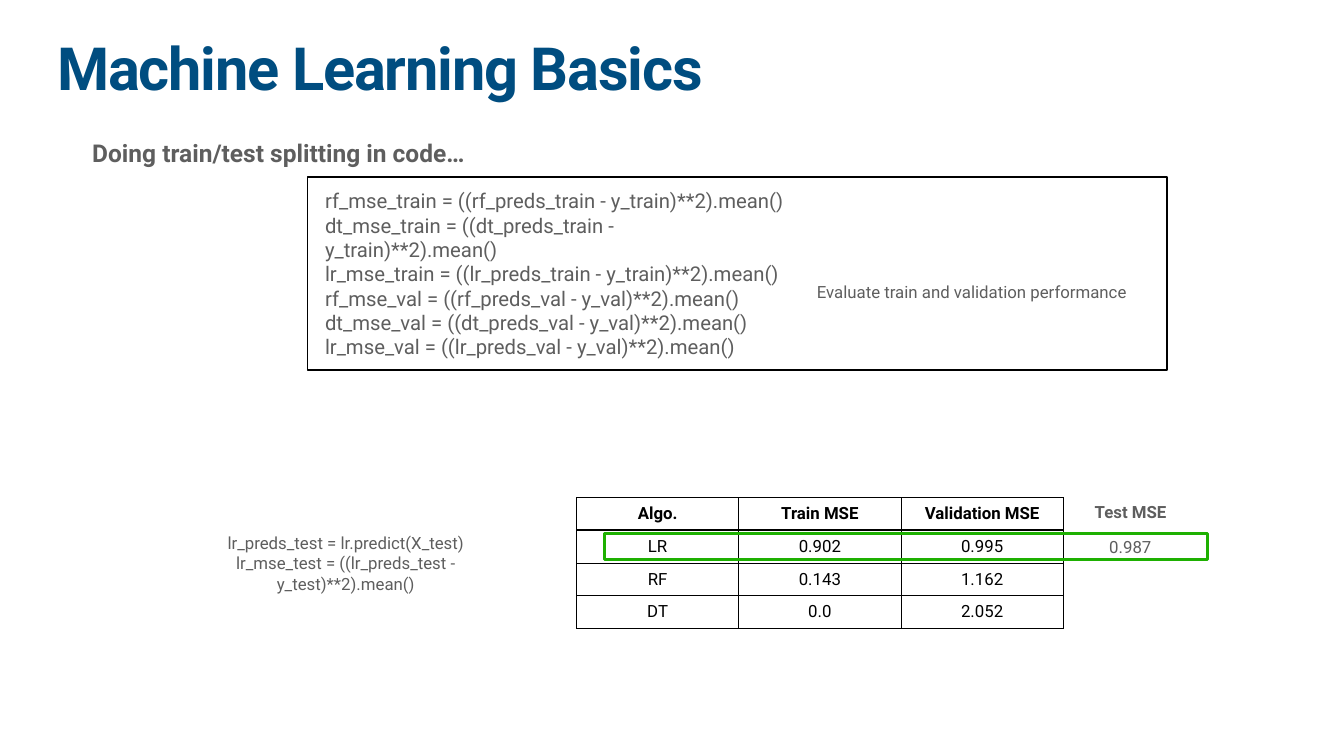
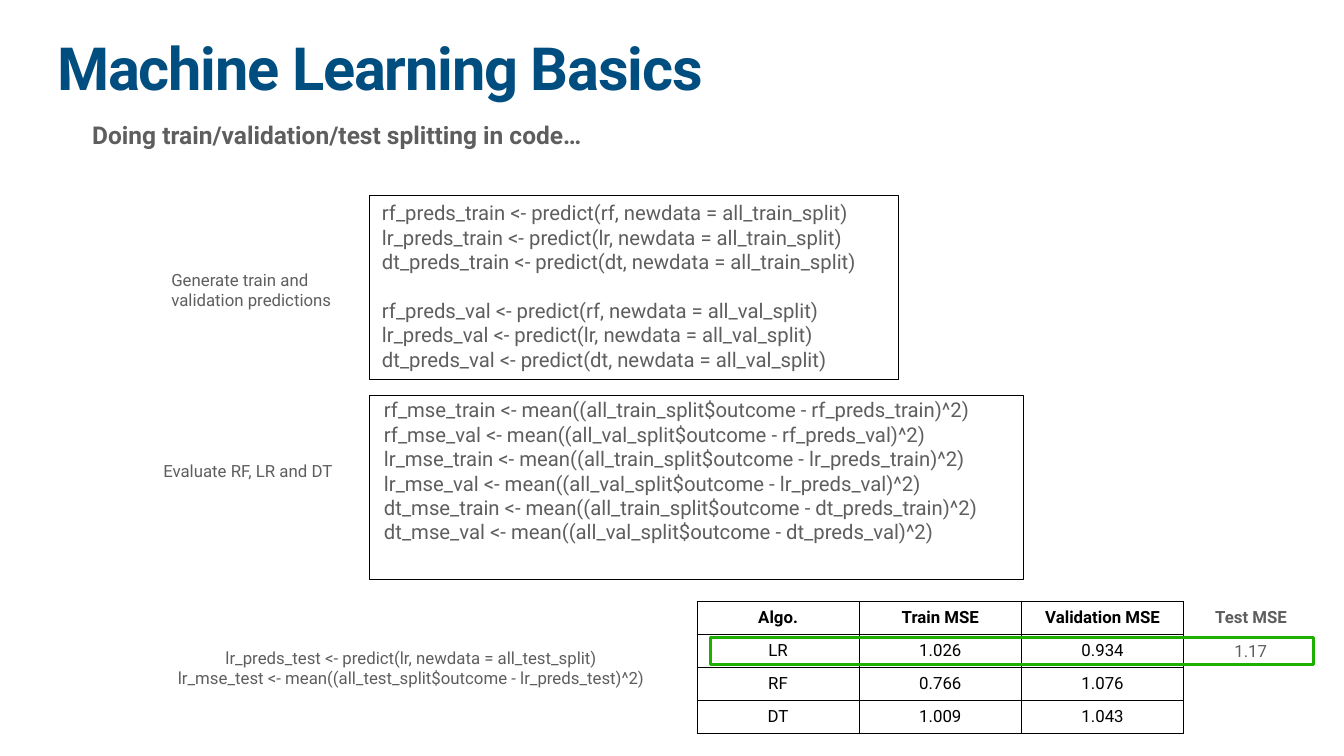
"""Build two slides on train, validation and test splits in code."""
import dataclasses

import lxml.etree
import pptx
import pptx.dml.color
import pptx.enum.shapes
import pptx.enum.text
import pptx.oxml.ns
import pptx.util

Inches = pptx.util.Inches
Pt = pptx.util.Pt
Align = pptx.enum.text.PP_ALIGN
Anchor = pptx.enum.text.MSO_ANCHOR
Fit = pptx.enum.text.MSO_AUTO_SIZE
qn = pptx.oxml.ns.qn


@dataclasses.dataclass(frozen=True)
class Theme:
    font: str = "Roboto"
    blue: str = "004D80"
    gray: str = "5E5E5E"
    black: str = "000000"
    green: str = "1EB001"
    title: int = 85
    head: int = 35
    code: int = 29
    note: int = 24
    inset: float = 0.06
    col: float = 3.22
    row: float = 0.65


def rgb(color):
    return pptx.dml.color.RGBColor.from_string(color)


class Deck:
    def __init__(self, theme):
        self.theme = theme
        self.file = pptx.Presentation()
        self.file.slide_width = Inches(26.67)
        self.file.slide_height = Inches(15)
        self.slide = None

    def style(self, frame, size, color, bold=False, align=Align.LEFT):
        for para in frame.paragraphs:
            para.alignment = align
            for run in para.runs:
                run.font.name = self.theme.font
                run.font.size = Pt(size)
                run.font.bold = bold
                run.font.color.rgb = rgb(color)

    def pad(self, thing):
        for side in ("left", "top", "right", "bottom"):
            setattr(thing, "margin_" + side, Inches(self.theme.inset))
        thing.vertical_anchor = Anchor.MIDDLE

    def text(self, words, at, size, color=None, wrap=True, **look):
        frame = self.slide.shapes.add_textbox(*map(Inches, at)).text_frame
        frame.word_wrap = wrap
        frame.auto_size = Fit.SHAPE_TO_FIT_TEXT
        self.pad(frame)
        frame.text = words
        self.style(frame, size, color or self.theme.gray, **look)
        return frame

    def page(self, head, top):
        theme = self.theme
        self.slide = self.file.slides.add_slide(self.file.slide_layouts[6])
        frame = self.text("Machine Learning Basics", (1.08, 0.83, 24.03, 1.57),
                          theme.title, theme.blue, bold=True)
        frame.auto_size = Fit.NONE
        frame.vertical_anchor = Anchor.TOP
        para = frame.paragraphs[0]
        para.line_spacing = 0.8
        para.runs[0].font._element.set("spc", "-170")
        self.text(head, (1.77, top, 22.64, 0.69), theme.head, bold=True)

    def note(self, words, at, **look):
        self.text(words, at, self.theme.note, **look)

    def label(self, words, at, bold=False):
        self.note(words, at, wrap=False, bold=bold, align=Align.CENTER)

    def frame(self, at, color, width):
        kind = pptx.enum.shapes.MSO_SHAPE.RECTANGLE
        box = self.slide.shapes.add_shape(kind, *map(Inches, at))
        box.shadow.inherit = False
        box.fill.background()
        box.line.color.rgb = rgb(color)
        box.line.width = Pt(width)

    def code(self, blocks, at, box):
        frame = self.text("\n".join(blocks), at, self.theme.code, wrap=False)
        self.frame(box, self.theme.black, 2)
        return frame

    def edge(self, cell, side, width):
        props = cell._tc.get_or_add_tcPr()
        line = lxml.etree.SubElement(props, qn("a:ln" + side), w=str(Pt(width)))
        fill = lxml.etree.SubElement(line, qn("a:solidFill"))
        lxml.etree.SubElement(fill, qn("a:srgbClr"), val=self.theme.black)

    def table(self, rows, left, top):
        theme = self.theme
        size = (theme.col * len(rows[0]), theme.row * len(rows))
        grid = self.slide.shapes.add_table(
            len(rows), len(rows[0]), *map(Inches, (left, top, *size))).table
        grid.first_row = grid.horz_banding = False
        for col in grid.columns:
            col.width = Inches(theme.col)
        for y, row in enumerate(rows):
            grid.rows[y].height = Inches(theme.row)
            for x, words in enumerate(row):
                cell = grid.cell(y, x)
                self.pad(cell)
                cell.text_frame.text = words
                self.style(cell.text_frame, theme.note, theme.black,
                           bold=y == 0, align=Align.CENTER)
                for side in "LRTB":
                    thick = (y, side) in ((0, "B"), (1, "T"))
                    self.edge(cell, side, 3 if thick else 1)
                cell.fill.background()

    def scores(self, rows, left, top, mark, test, width):
        head = ("Algo.", "Train MSE", "Validation MSE")
        self.table((head, *rows), left, top)
        self.frame((mark, top + 0.71, 11.97, 0.53), self.theme.green, 4)
        mid = left + 10.99
        self.label("Test MSE", (mid - 0.8, top + 0.04, 1.61, 0.5), bold=True)
        self.label(test, (mid - width / 2, top + 0.73, width, 0.5))


def main():
    deck = Deck(Theme())

    deck.page("Doing train/test splitting in code…", 2.68)
    deck.code(
        [f"{m}_mse_{s} = (({m}_preds_{s} - y_{s})**2).mean()"
         for s in ("train", "val") for m in ("rf", "dt", "lr")],
        (6.39, 3.92, 9.31, 3.02), (6.1, 3.51, 17.06, 3.83))
    deck.note("Evaluate train and validation performance",
              (16.15, 5.54, 11.08, 0.5))
    deck.scores((("LR", "0.902", "0.995"), ("RF", "0.143", "1.162"),
                 ("DT", "0.0", "2.052")), 11.44, 9.87, 12, "0.987", 0.96)
    deck.label("lr_preds_test = lr.predict(X_test)\n"
               "lr_mse_test = ((lr_preds_test - y_test)**2).mean()",
               (3.26, 10.72, 7.2, 0.91))

    deck.page("Doing train/validation/test splitting in code…", 2.32)
    deck.note("Generate train and validation predictions",
              (3.34, 5.29, 3.97, 0.91))
    frame = deck.code(
        [f"{m}_preds_{s} <- predict({m}, newdata = all_{s}_split)"
         for s in ("train", "val") for m in ("rf", "lr", "dt")],
        (7.52, 3.92, 9.72, 3.5), (7.33, 3.88, 10.5, 3.65))
    frame.paragraphs[3].space_before = Pt(35)
    deck.code(
        [f"{m}_mse_{s} <- mean((all_{s}_split$outcome - {m}_preds_{s})^2)"
         for m in ("rf", "lr", "dt") for s in ("train", "val")],
        (7.56, 7.83, 12.06, 3.02), (7.33, 7.85, 12.98, 3.65))
    deck.note("Evaluate RF, LR and DT", (3.18, 9.09, 7.32, 0.5))
    deck.scores((("LR", "1.026", "0.934"), ("RF", "0.766", "1.076"),
                 ("DT", "1.009", "1.043")), 13.83, 11.94, 14.1, "1.17", 0.77)
    deck.label("lr_preds_test <- predict(lr, newdata = all_test_split)\n"
               "lr_mse_test <- mean((all_test_split$outcome - lr_preds_test)^2)",
               (3.42, 12.79, 9.47, 0.91))

    deck.file.save("out.pptx")


if __name__ == "__main__":
    main()
